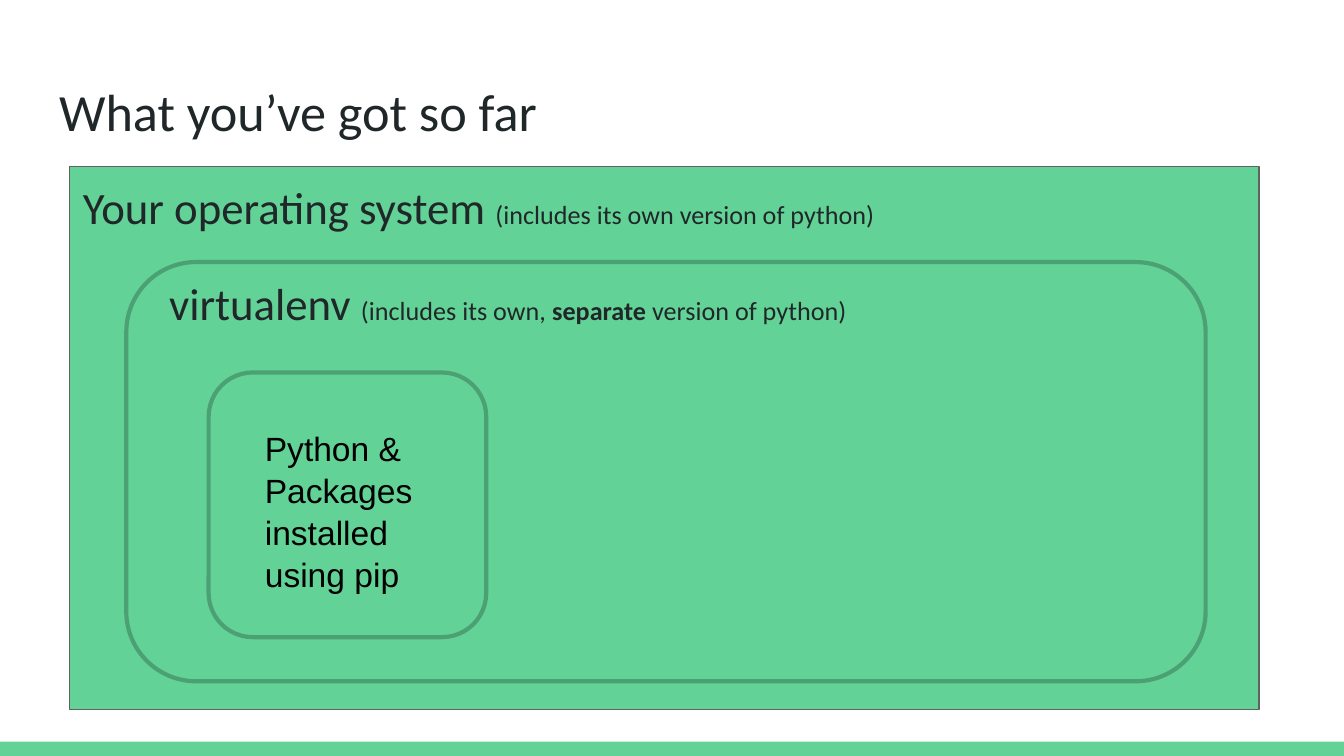
from dataclasses import dataclass

from pptx import Presentation
from pptx.dml.color import RGBColor
from pptx.enum.shapes import MSO_SHAPE
from pptx.enum.text import MSO_ANCHOR, MSO_AUTO_SIZE, PP_ALIGN
from pptx.util import Pt

RECT = MSO_SHAPE.RECTANGLE
ROUND = MSO_SHAPE.ROUNDED_RECTANGLE
TOP = MSO_ANCHOR.TOP
LEFT = PP_ALIGN.LEFT
NO_FIT = MSO_AUTO_SIZE.NONE


@dataclass(frozen=True)
class Theme:
    """Colours, fonts and type sizes of the slide."""
    green: RGBColor = RGBColor(0x63, 0xD2, 0x97)
    dark_green: RGBColor = RGBColor(0x4B, 0xA1, 0x73)
    grey: RGBColor = RGBColor(0x61, 0x61, 0x61)
    ink: RGBColor = RGBColor(0x20, 0x27, 0x29)
    black: RGBColor = RGBColor(0, 0, 0)
    head_font: str = "Calibri"
    body_font: str = "Arial"
    title: int = 28
    label: int = 24
    body: int = 18
    note: int = 14
    inset: float = 7.2


THEME = Theme()


def place(sp, box):
    """Move a shape to a box of left, top, width and height in points."""
    sp.left, sp.top, sp.width, sp.height = (Pt(v) for v in box)


def add_panel(slide, kind, box, line=None, weight=0):
    """Draw a green panel with an optional outline."""
    sp = slide.shapes.add_shape(kind, *(Pt(v) for v in box))
    sp.shadow.inherit = False
    sp.fill.solid()
    sp.fill.fore_color.rgb = THEME.green
    if line is None:
        sp.line.fill.background()
    else:
        sp.line.color.rgb = line
        sp.line.width = Pt(weight)


def write(sp, runs, font=THEME.head_font, color=THEME.ink):
    """Fill a shape with one paragraph of (text, size, bold) runs."""
    tf = sp.text_frame
    tf.word_wrap = True
    tf.auto_size = NO_FIT
    tf.vertical_anchor = TOP
    tf.margin_left = tf.margin_right = Pt(THEME.inset)
    tf.margin_top = tf.margin_bottom = Pt(THEME.inset)
    p = tf.paragraphs[0]
    p.alignment = LEFT
    for text, size, bold in runs:
        r = p.add_run()
        r.text = text
        r.font.name = font
        r.font.size = Pt(size)
        r.font.bold = bold
        r.font.color.rgb = color
    return p


def add_text(slide, box, runs, **style):
    """Add a text box and return its paragraph."""
    return write(slide.shapes.add_textbox(*(Pt(v) for v in box)), runs, **style)


def add_title(slide, box):
    """Place the slide title."""
    place(slide.shapes.title, box)
    write(slide.shapes.title, [("What you’ve got so far", THEME.title, False)])


def add_system(slide, box):
    """Draw the operating system panel with its label."""
    x, y, w, h = box
    add_panel(slide, RECT, box, THEME.grey, 0.75)
    add_text(slide, (x, y, w, 37.5), [
        ("Your operating system ", THEME.label, False),
        ("(includes its own version of python)", THEME.note, False)])


def add_virtualenv(slide, box):
    """Draw the virtualenv panel with its label."""
    x, y, w, h = box
    add_panel(slide, ROUND, box, THEME.dark_green, 2.25)
    add_text(slide, (x + 15.8, y, w - 67, 37.5), [
        ("virtualenv ", THEME.label, False),
        ("(includes its own, ", THEME.note, False),
        ("separate", THEME.note, True),
        (" version of python)", THEME.note, False)])


def add_packages(slide, box):
    """Draw the packages panel with its centred text box."""
    x, y, w, h = box
    add_panel(slide, ROUND, box, THEME.dark_green, 2.25)
    p = add_text(slide, (x + 23, y + 21.5, w - 45.5, h - 42.5),
                 [("Python & Packages installed using pip", THEME.body, False)],
                 font=THEME.body_font, color=THEME.black)
    p.line_spacing = 1.04


def main():
    """Build the slide and save it."""
    prs = Presentation()
    prs.slide_width, prs.slide_height = Pt(720), Pt(405)
    slide = prs.slides.add_slide(prs.slide_layouts[5])
    add_panel(slide, RECT, (0, 397.4, 720, 7.6))
    add_title(slide, (24.5, 35.3, 671, 45.4))
    add_system(slide, (37.3, 89.2, 637.2, 291))
    add_virtualenv(slide, (67.7, 140.4, 578.2, 224.6))
    add_packages(slide, (111.8, 199.6, 148.7, 141.8))
    prs.save("out.pptx")


if __name__ == "__main__":
    main()
